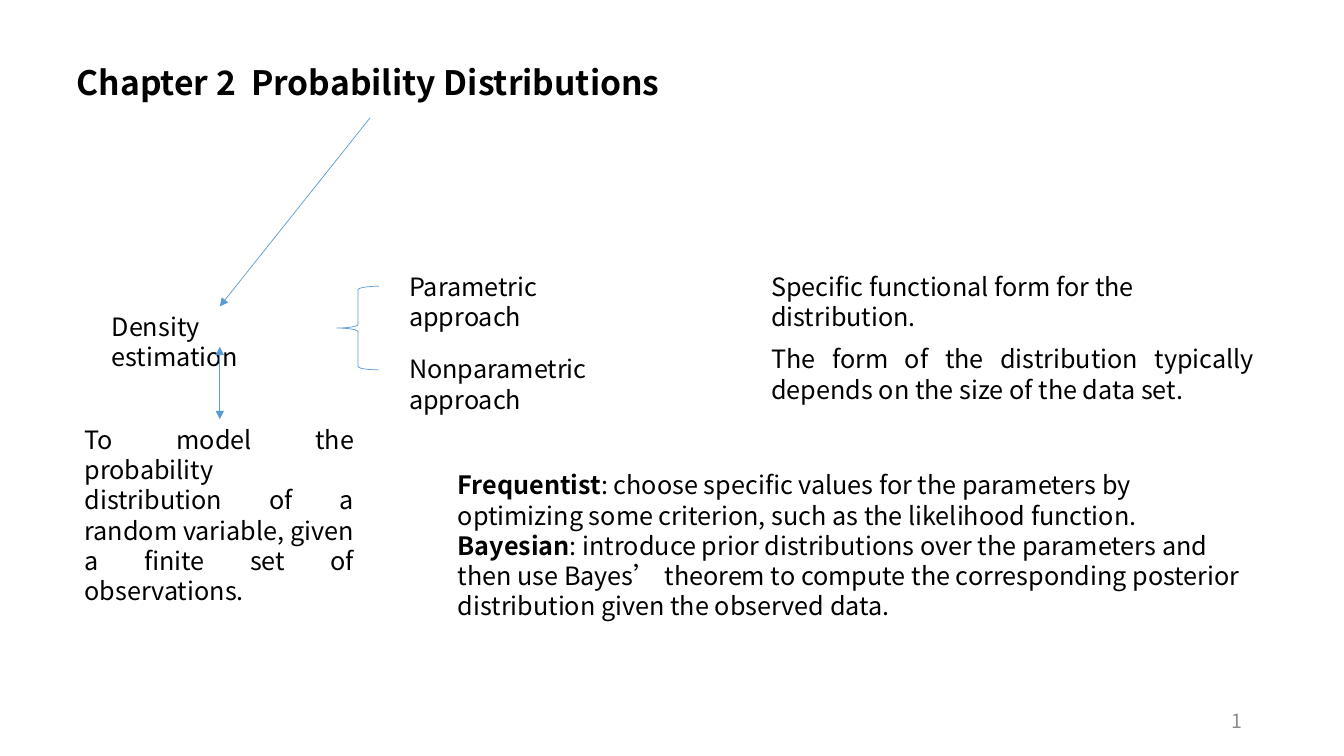
import pptx
import pptx.util
import pptx.dml.color
import pptx.enum.shapes
import pptx.enum.text
import pptx.oxml.ns
import lxml.etree

Inches = pptx.util.Inches
Pt = pptx.util.Pt
Align = pptx.enum.text.PP_ALIGN
Anchor = pptx.enum.text.MSO_ANCHOR
Kind = pptx.enum.shapes.MSO_SHAPE
qn = pptx.oxml.ns.qn

FACE = "Noto Sans CJK SC"
BLUE = "5B9BD5"


def color(code):
    return pptx.dml.color.RGBColor.from_string(code)


def write(shape, box, paras, align=Align.LEFT, size=18, ink="000000", anchor=Anchor.TOP):
    """Place a text shape and fill it; each paragraph is a list of (text, bold)."""
    shape.left, shape.top, shape.width, shape.height = map(Inches, box)
    frame = shape.text_frame
    look = {"word_wrap": True, "vertical_anchor": anchor,
            "auto_size": pptx.enum.text.MSO_AUTO_SIZE.NONE}
    for key, value in look.items():
        setattr(frame, key, value)
    for i, parts in enumerate(paras):
        para = frame.paragraphs[0] if i == 0 else frame.add_paragraph()
        for key, value in {"alignment": align, "space_before": Pt(0)}.items():
            setattr(para, key, value)
        for text, bold in parts:
            run = para.add_run()
            run.text = text
            for key, value in {"name": FACE, "size": Pt(size), "bold": bold}.items():
                setattr(run.font, key, value)
            run.font.color.rgb = color(ink)
            east = lxml.etree.SubElement(run.font._element, qn("a:ea"))
            east.set("typeface", FACE)


deck = pptx.Presentation()
deck.slide_width, deck.slide_height = Inches(13.33), Inches(7.5)
slide = deck.slides.add_slide(deck.slide_layouts[1])
shapes = slide.shapes

# Title
write(shapes.title, (0.66, 0.56, 6.04, 0.5),
      [[("Chapter 2  Probability Distributions", True)]], size=24)

# Two views of the parameters
views = slide.placeholders[1]
write(views, (4.44, 4.61, 8.09, 1.62), [
    [("Frequentist", True),
     (": choose specific values for the parameters by optimizing some criterion, "
      "such as the likelihood function.", False)],
    [("Bayesian", True),
     (": introduce prior distributions over the parameters and then use Bayes’ theorem "
      "to compute the corresponding posterior distribution given the observed data.", False)],
])
for para in views.text_frame.paragraphs:
    props = para._p.get_or_add_pPr()
    props.set("marL", "0")
    props.set("indent", "0")
    lxml.etree.SubElement(props, qn("a:buNone"))

# Density estimation, its approaches and their meaning
notes = [
    ((1.01, 3.04, 2.33, 0.4), "Density estimation", Align.LEFT),
    ((3.96, 2.64, 2.45, 0.4), "Parametric approach", Align.LEFT),
    ((3.96, 3.46, 2.93, 0.4), "Nonparametric approach", Align.LEFT),
    ((7.55, 2.64, 4.85, 0.4), "Specific functional form for the distribution.", Align.LEFT),
    ((7.55, 3.36, 4.99, 0.71),
     "The form of the distribution typically depends on the size of the data set.",
     Align.JUSTIFY),
    ((0.74, 4.16, 2.87, 1.31),
     "To model the probability distribution of a random variable, "
     "given a finite set of observations.", Align.JUSTIFY),
]
for box, text, align in notes:
    write(shapes.add_textbox(0, 0, 0, 0), box, [[(text, False)]], align)

# Page number
write(shapes.add_textbox(0, 0, 0, 0), (9.42, 6.95, 3, 0.4), [[("1", False)]],
      Align.RIGHT, 14, "8C8C8C", Anchor.MIDDLE)

# Brace
brace = shapes.add_shape(Kind.LEFT_BRACE, *map(Inches, (3.34, 2.84, 0.42, 0.83)))
brace.shadow.inherit = False
brace.fill.background()
brace.line.color.rgb = color(BLUE)
brace.line.width = Pt(0.5)

# Arrows
arrows = [
    ((3.67, 1.17, 2.18, 3.04), ["tailEnd"]),
    ((2.18, 3.44, 2.18, 4.16), ["headEnd", "tailEnd"]),
]
for ends, heads in arrows:
    arrow = shapes.add_connector(pptx.enum.shapes.MSO_CONNECTOR.STRAIGHT, *map(Inches, ends))
    arrow.line.color.rgb = color(BLUE)
    arrow.line.width = Pt(0.5)
    for head in heads:
        lxml.etree.SubElement(arrow.line._ln, qn("a:" + head)).set("type", "triangle")
    lxml.etree.SubElement(arrow._element.spPr, qn("a:effectLst"))

deck.save("out.pptx")
